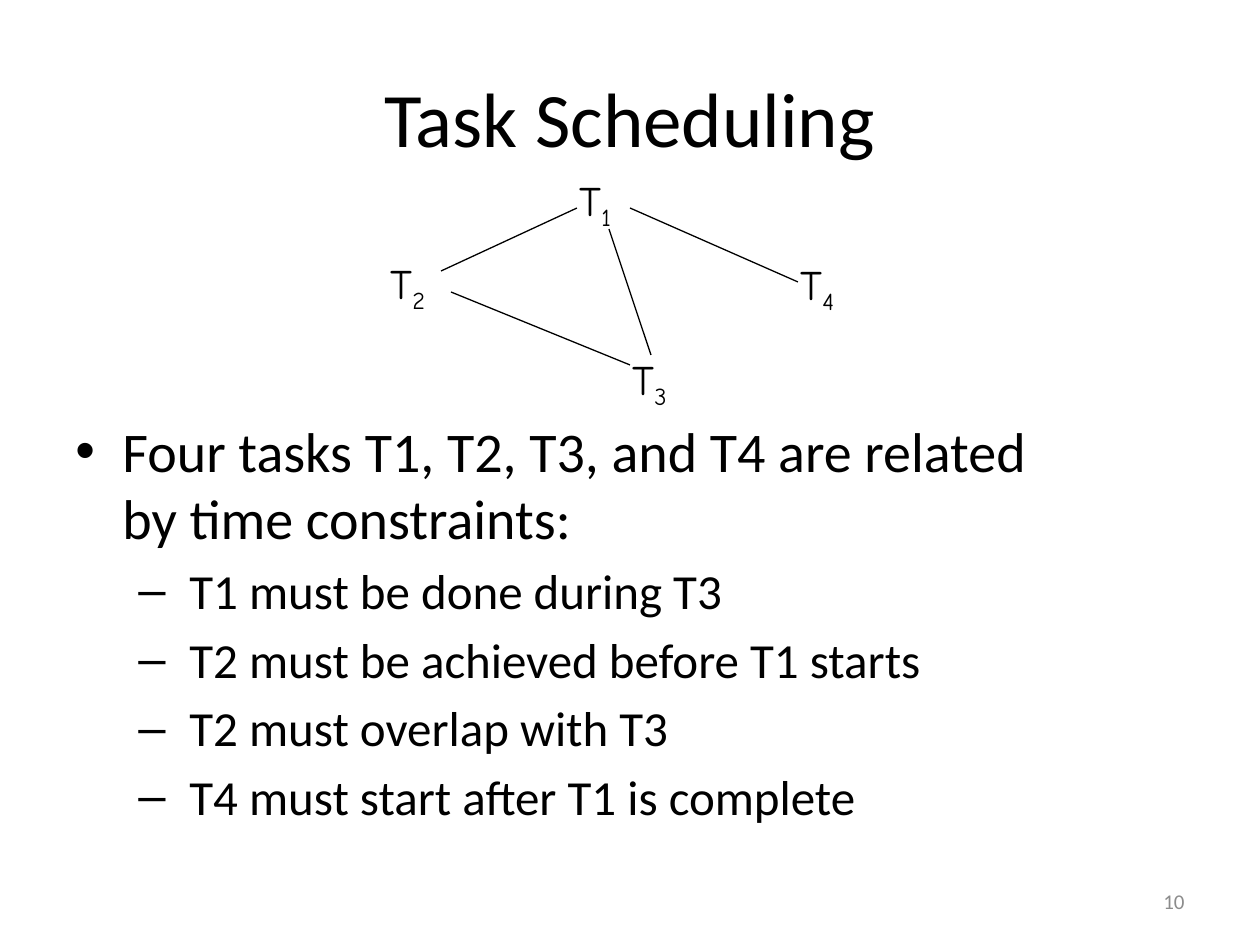
from collections import namedtuple

from lxml import etree
from pptx import Presentation
from pptx.dml.color import RGBColor
from pptx.enum.shapes import MSO_CONNECTOR
from pptx.enum.text import MSO_ANCHOR, MSO_AUTO_SIZE, PP_ALIGN
from pptx.oxml.ns import qn
from pptx.util import Emu, Pt

PX = 914400 / 126
STRAIGHT = MSO_CONNECTOR.STRAIGHT
MIDDLE = MSO_ANCHOR.MIDDLE
FIT_SHAPE = MSO_AUTO_SIZE.SHAPE_TO_FIT_TEXT
CENTER, LEFT, RIGHT = PP_ALIGN.CENTER, PP_ALIGN.LEFT, PP_ALIGN.RIGHT
COLORS = {"ink": "000000", "page_number": "8C8C8C"}
TEXT_FONT, GRAPH_FONT = "Calibri", "Comic Neue"

Box = namedtuple("Box", "left top width height")
Level = namedtuple("Level", "bullet size margin hanging")
LEVELS = [Level("•", 32, 47, 47), Level("–", 28, 114, 51)]

CONSTRAINTS = [
    (0, "Four tasks T1, T2, T3, and T4 are related by time constraints:"),
    (1, "T1 must be done during T3"),
    (1, "T2 must be achieved before T1 starts"),
    (1, "T2 must overlap with T3"),
    (1, "T4 must start after T1 is complete"),
]
# Positions within the graph box
TASKS = {"1": (189, 0), "2": (0, 83), "3": (242, 179), "4": (410, 84)}
LINKS = [
    ((231, 61), (273, 187)),
    ((63, 103), (199, 40)),
    ((73, 124), (252, 197)),
    ((420, 114), (252, 40)),
]


def px(length):
    return Emu(round(length * PX))


def style(paragraph, size, font=TEXT_FONT, color="ink", align=LEFT):
    paragraph.alignment = align
    paragraph.font.size = Pt(size)
    paragraph.font.name = font
    paragraph.font.color.rgb = RGBColor.from_string(COLORS[color])


def add_text_box(shapes, box):
    return shapes.add_textbox(*map(px, box)).text_frame


def set_bullet(paragraph, level):
    properties = paragraph._p.get_or_add_pPr()
    properties.set("marL", str(px(level.margin)))
    properties.set("indent", str(-px(level.hanging)))
    etree.SubElement(properties, qn("a:buFont")).set("typeface", "Arial")
    etree.SubElement(properties, qn("a:buChar")).set("char", level.bullet)


def place_title(page, box):
    title = page.shapes.title
    title.left, title.top, title.width, title.height = map(px, box)
    frame = title.text_frame
    frame.text = "Task Scheduling"
    frame.vertical_anchor = MIDDLE
    style(frame.paragraphs[0], 44, align=CENTER)


def place_constraints(page, box):
    frame = add_text_box(page.shapes, box)
    frame.word_wrap = True
    for index, (depth, wording) in enumerate(CONSTRAINTS):
        para = frame.add_paragraph() if index else frame.paragraphs[0]
        level = LEVELS[depth]
        para.text = wording
        para.level = depth
        para.space_before = Pt(level.size * 0.2)
        style(para, level.size)
        set_bullet(para, level)


def add_task(group, box, number):
    frame = add_text_box(group.shapes, box)
    frame.word_wrap = False
    frame.auto_size = FIT_SHAPE
    para = frame.paragraphs[0]
    style(para, 24, GRAPH_FONT)
    para.add_run().text = "T"
    subscript = para.add_run()
    subscript.text = number
    subscript.font._element.set("baseline", "-25000")


def add_link(group, box, start, end):
    points = [px(edge + offset) for point in (start, end)
              for edge, offset in zip((box.left, box.top), point)]
    link = group.shapes.add_connector(STRAIGHT, *points)
    link.line.color.rgb = RGBColor.from_string(COLORS["ink"])
    link.line.width = Pt(0.75)
    etree.SubElement(link._element.spPr, qn("a:effectLst"))


def place_task_graph(page, box):
    group = page.shapes.add_group_shape()
    for number, (x, y) in TASKS.items():
        add_task(group, Box(box.left + x, box.top + y, 70, 63), number)
    for start, end in LINKS:
        add_link(group, box, start, end)


def place_page_number(page, box):
    frame = add_text_box(page.shapes, box)
    frame.word_wrap = True
    frame.vertical_anchor = MIDDLE
    frame.text = "10"
    style(frame.paragraphs[0], 12, color="page_number", align=RIGHT)


def main():
    deck = Presentation()
    deck.slide_width, deck.slide_height = px(1260), px(945)
    page = deck.slides.add_slide(deck.slide_layouts.get_by_name("Title Only"))
    place_title(page, Box(63, 38, 1134, 157))
    place_constraints(page, Box(63, 410, 1029, 517))
    place_task_graph(page, Box(378, 168, 480, 242))
    place_page_number(page, Box(903, 876, 294, 50))
    deck.save("out.pptx")


if __name__ == "__main__":
    main()
